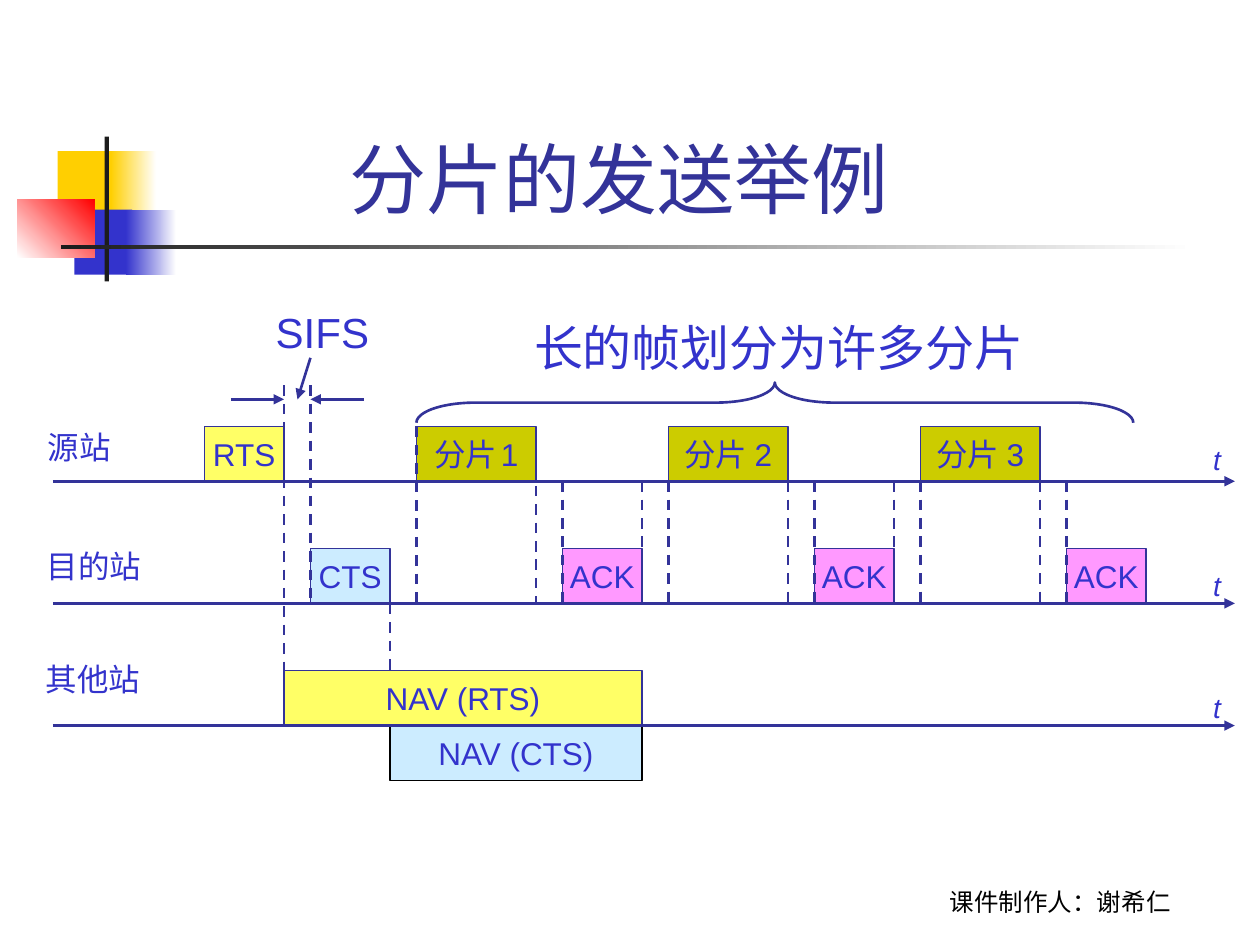
"""Build a slide with the timeline of a fragmented wireless transmission."""
import dataclasses
import typing

import lxml.etree
import pptx
import pptx.dml.color
import pptx.enum.dml
import pptx.enum.shapes
import pptx.enum.text
import pptx.oxml.ns
import pptx.util

COLORS = {
    "gold": "FFCF01", "blue": "3333CC", "red": "FF0000", "ink": "1C1C1C",
    "white": "FFFFFF", "black": "000000", "navy": "333399", "yellow": "FFFF66",
    "sky": "CCECFF", "olive": "CCCC00", "pink": "FF99FF",
}
SHAPES = pptx.enum.shapes.MSO_SHAPE
ALIGN = pptx.enum.text.PP_ALIGN
ANCHOR = pptx.enum.text.MSO_ANCHOR

SIFS = 15.1
CONTROL = 45.5
FRAGMENT = 68.3
PERIOD = FRAGMENT + CONTROL + 2 * SIFS
RTS_LEFT = 116.8
RTS_END = RTS_LEFT + CONTROL
CTS_LEFT = RTS_END + SIFS
CTS_END = CTS_LEFT + CONTROL
DATA_LEFT = CTS_END + SIFS
ACK_OFFSET = FRAGMENT + SIFS
NAV_END = DATA_LEFT + ACK_OFFSET + CONTROL
SOURCE, TARGET, OTHERS = AXES = (275, 344.8, 414.6)
BLOCK = 31.3
MARK_TOP = 220.3


class Span(typing.NamedTuple):
    """A piece of text with its size."""
    text: str
    size: float = 18


class Decoration(typing.NamedTuple):
    """A rectangle of the title ornament, graded when it has an end colour."""
    left: float
    top: float
    width: float
    height: float
    color: str
    end: typing.Optional[str] = None
    angle: float = 0


@dataclasses.dataclass
class Label:
    """A free-standing text."""
    left: float
    top: float
    width: float
    height: float
    span: Span
    color: str = "blue"
    font: str = "Arial"
    centered: bool = False
    italic: bool = False
    footer: bool = False


@dataclasses.dataclass
class Frame:
    """A frame on the timeline."""
    left: float
    top: float
    right: float
    fill: str
    spans: list[Span]
    outline: str = "navy"


@dataclasses.dataclass
class Stroke:
    """A straight line, dashed or ending in an arrowhead."""
    x1: float
    y1: float
    x2: float
    y2: float
    arrow: bool = False


DECORATIONS = [
    Decoration(33, 86.4, 34.6, 37.4, "gold"),
    Decoration(63.4, 86.4, 25.9, 37.4, "gold", "white"),
    Decoration(42.5, 119.8, 33.1, 37.2, "blue"),
    Decoration(72, 119.8, 28.8, 37.2, "blue", "white"),
    Decoration(10, 113.8, 44, 33.4, "white", "red", 45),
    Decoration(59.8, 78, 2.5, 82.8, "ink"),
    Decoration(34.8, 140.1, 648, 2.5, "ink", "white"),
]


def rgb(name: str) -> pptx.dml.color.RGBColor:
    """Look up a named colour."""
    return pptx.dml.color.RGBColor.from_string(COLORS[name])


def points(*values: float) -> list[pptx.util.Length]:
    """Turn numbers into lengths in points."""
    return [pptx.util.Pt(value) for value in values]


def write(para, spans: list[Span], color: str, font: str = "Arial",
          italic: bool = False) -> None:
    """Add formatted runs to a paragraph."""
    for span in spans:
        run = para.add_run()
        run.text = span.text
        run.font.name = font
        run.font.size = pptx.util.Pt(span.size)
        run.font.italic = italic
        run.font.color.rgb = rgb(color)


def draw_decoration(slide, item: Decoration) -> None:
    """Draw one part of the title ornament."""
    box = slide.shapes.add_shape(SHAPES.RECTANGLE, *points(*item[:4]))
    box.shadow.inherit = False
    box.line.fill.background()
    if item.end is None:
        box.fill.solid()
        box.fill.fore_color.rgb = rgb(item.color)
        return
    box.fill.gradient()
    box.fill.gradient_angle = item.angle
    for stop, color in zip(box.fill.gradient_stops, (item.color, item.end)):
        stop.color.rgb = rgb(color)


def draw_title(slide, text: str) -> None:
    """Place and format the title placeholder."""
    title = slide.shapes.title
    title.left, title.top, title.width, title.height = points(90.7, 16.6, 535.7, 115.2)
    frame = title.text_frame
    frame.auto_size = pptx.enum.text.MSO_AUTO_SIZE.NONE
    frame.vertical_anchor = ANCHOR.BOTTOM
    frame.paragraphs[0].alignment = ALIGN.CENTER
    write(frame.paragraphs[0], [Span(text, 44)], "navy")


def draw_label(slide, label: Label) -> None:
    """Draw a free-standing text."""
    box = slide.shapes.add_textbox(*points(label.left, label.top, label.width, label.height))
    frame = box.text_frame
    frame.word_wrap = label.footer
    if label.footer:
        frame.vertical_anchor = ANCHOR.BOTTOM
    else:
        frame.auto_size = pptx.enum.text.MSO_AUTO_SIZE.SHAPE_TO_FIT_TEXT
    para = frame.paragraphs[0]
    para.alignment = ALIGN.CENTER if label.centered else ALIGN.LEFT
    write(para, [label.span], label.color, label.font, label.italic)


def draw_frame(slide, item: Frame) -> None:
    """Draw a frame with its name."""
    box = slide.shapes.add_shape(
        SHAPES.RECTANGLE, *points(item.left, item.top, item.right - item.left, BLOCK))
    box.shadow.inherit = False
    box.fill.solid()
    box.fill.fore_color.rgb = rgb(item.fill)
    box.line.color.rgb = rgb(item.outline)
    box.line.width = pptx.util.Pt(0.75)
    box.text_frame.word_wrap = False
    box.text_frame.vertical_anchor = ANCHOR.MIDDLE
    para = box.text_frame.paragraphs[0]
    para.alignment = ALIGN.CENTER
    write(para, item.spans, "blue")


def draw_stroke(slide, item: Stroke) -> None:
    """Draw an arrow or a dashed time mark."""
    line = slide.shapes.add_connector(
        pptx.enum.shapes.MSO_CONNECTOR.STRAIGHT,
        *points(item.x1, item.y1, item.x2, item.y2))
    line.line.color.rgb = rgb("navy")
    line.line.width = pptx.util.Pt(1.5)
    qn = pptx.oxml.ns.qn
    properties = line._element.spPr
    if item.arrow:
        lxml.etree.SubElement(properties.find(qn("a:ln")), qn("a:tailEnd"), type="triangle")
    else:
        line.line.dash_style = pptx.enum.dml.MSO_LINE.DASH
    lxml.etree.SubElement(properties, qn("a:effectLst"))


def draw_brace(slide) -> None:
    """Draw the brace over all fragments."""
    brace = slide.shapes.add_shape(SHAPES.RIGHT_BRACE, *points(431.3, 25.2, 23, 409.7))
    brace.rotation = 270
    brace.adjustments[0] = 1.47
    brace.shadow.inherit = False
    brace.fill.background()
    brace.line.color.rgb = rgb("navy")
    brace.line.width = pptx.util.Pt(1.5)


def main() -> None:
    """Build and save the deck."""
    deck = pptx.Presentation()
    deck.slide_width, deck.slide_height = points(720, 540)
    slide = deck.slides.add_slide(deck.slide_layouts[5])

    frames = [
        Frame(RTS_LEFT, SOURCE - BLOCK, RTS_END, "yellow", [Span("RTS")]),
        Frame(CTS_LEFT, TARGET - BLOCK, CTS_END, "sky", [Span("CTS")]),
        Frame(RTS_END, OTHERS - BLOCK, NAV_END, "yellow", [Span("NAV (RTS)")]),
        Frame(CTS_END, OTHERS, NAV_END, "sky", [Span("NAV (CTS)")], "black"),
    ]
    strokes = [
        Stroke(RTS_END, MARK_TOP, RTS_END, OTHERS - BLOCK),
        Stroke(CTS_LEFT, MARK_TOP, CTS_LEFT, TARGET),
        Stroke(CTS_END, TARGET - BLOCK, CTS_END, OTHERS - BLOCK),
        Stroke(132, 228.2, RTS_END, 228.2, arrow=True),
        Stroke(208, 228.2, CTS_LEFT, 228.2, arrow=True),
        Stroke(CTS_LEFT, 204.5, 170, 228.2, arrow=True),
    ]
    gaps = [1, 2, 3]
    for number in gaps:
        left = DATA_LEFT + (number - 1) * PERIOD
        ack = left + ACK_OFFSET
        first = number == gaps[0]
        name = [Span("分片"), Span(" ", 10 if first else 18), Span(str(number))]
        frames.append(Frame(left, SOURCE - BLOCK, left + FRAGMENT, "olive", name))
        frames.append(Frame(ack, TARGET - BLOCK, ack + CONTROL, "pink", [Span("ACK")]))
        marks = [(left, SOURCE - BLOCK if first else SOURCE),
                 (left + FRAGMENT, 267.1 if first else SOURCE), (ack, SOURCE)]
        if number != gaps[-1]:
            marks.append((ack + CONTROL, SOURCE))
        strokes += [Stroke(x, top, x, TARGET) for x, top in marks]
    strokes += [Stroke(30.2, axis, 705.6, axis, arrow=True) for axis in AXES]

    labels = [Label(686.2, top, 18.7, 26.6, Span("t", 16), italic=True)
              for top in (249.1, 321.1, 391)]
    labels += [
        Label(20.2, 241.2, 50.4, 28.8, Span("源站"), centered=True),
        Label(19.4, 308.9, 68.4, 28.8, Span("目的站"), centered=True),
        Label(11.5, 373.7, 79.2, 28.8, Span(" 其他站"), centered=True),
        Label(150.5, 171.4, 67.7, 36, Span("SIFS", 24)),
        Label(298.1, 177.8, 293.8, 41, Span("长的帧划分为许多分片", 28)),
        Label(491.8, 491, 228.2, 36, Span("课件制作人：谢希仁", 14), "black", "Lato",
              centered=True, footer=True),
    ]

    for decoration in DECORATIONS:
        draw_decoration(slide, decoration)
    draw_title(slide, "分片的发送举例 ")
    for label in labels:
        draw_label(slide, label)
    for frame in frames:
        draw_frame(slide, frame)
    for stroke in strokes:
        draw_stroke(slide, stroke)
    draw_brace(slide)
    deck.save("out.pptx")


if __name__ == "__main__":
    main()
